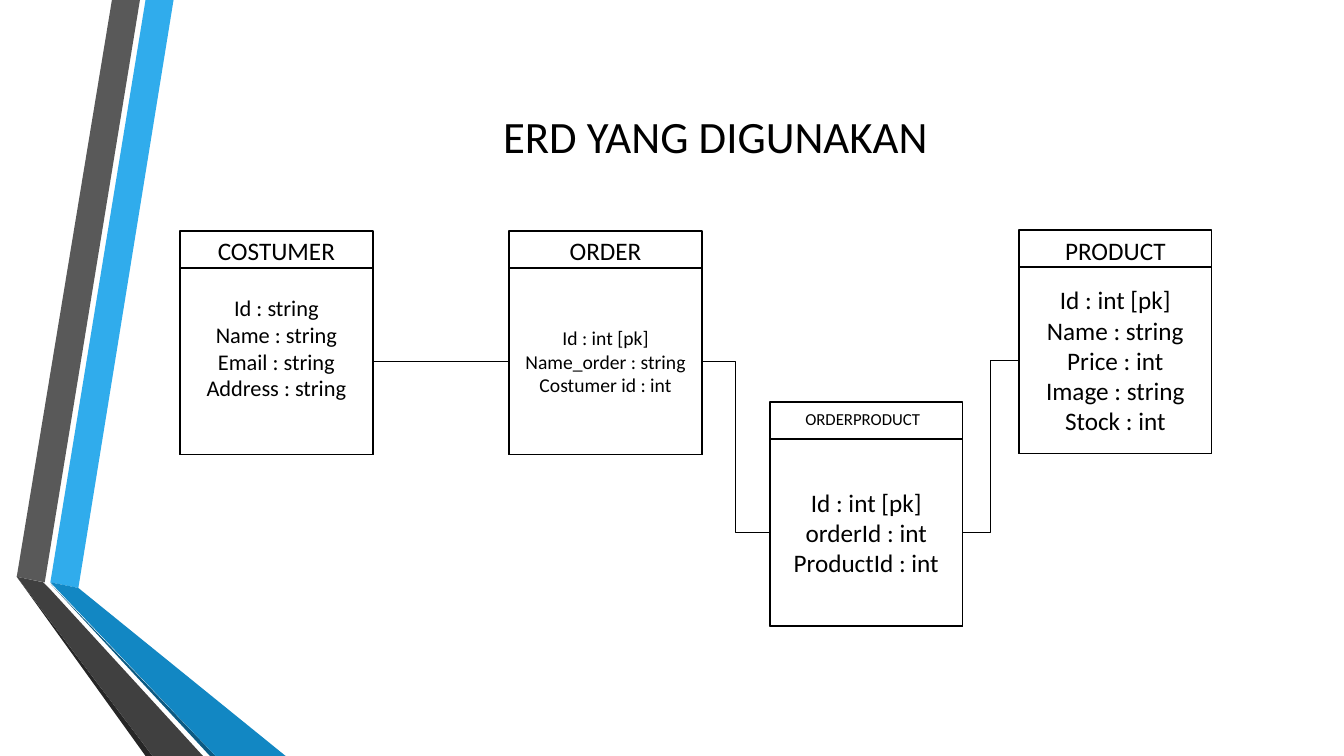
from dataclasses import dataclass

from lxml import etree
from pptx import Presentation
from pptx.dml.color import RGBColor
from pptx.enum.shapes import MSO_CONNECTOR, MSO_SHAPE
from pptx.enum.text import MSO_ANCHOR, PP_ALIGN
from pptx.oxml.ns import qn
from pptx.util import Pt

RECT = MSO_SHAPE.RECTANGLE
STRAIGHT, ELBOW = MSO_CONNECTOR.STRAIGHT, MSO_CONNECTOR.ELBOW
CENTER = PP_ALIGN.CENTER
TOP, MIDDLE = MSO_ANCHOR.TOP, MSO_ANCHOR.MIDDLE

FONT = "Calibri"
BLACK, WHITE = "000000", "FFFFFF"
CARD_W, CARD_H, HEADER_H = 137.5, 159.8, 26.6
LEFT_SITE, RIGHT_SITE = 1, 3


@dataclass
class Ribbon:
    color: str
    points: list[tuple[float, float]]


@dataclass
class Entity:
    name: str
    left: float
    top: float
    fields: list[str]
    field_size: float
    name_size: float = 18
    name_dx: float = 0
    name_dy: float = 0
    bottom_inset: float = 3.6


@dataclass
class Relation:
    start: str
    end: str
    kind: int


RIBBONS = [
    Ribbon("30ACEC", [(36, 416.4), (55.6, 419.7), (124.4, 0), (104.5, 0)]),
    Ribbon("595959", [(99.8, 0), (80, 0), (11.8, 412.3), (31.7, 415.6)]),
    Ribbon("262626", [(11.8, 412.3), (104.5, 540), (108.7, 540)]),
    Ribbon("0C5A82", [(36, 416.6), (149.5, 540), (154, 540)]),
    Ribbon("1287C3", [(36, 416.4), (154, 540), (203.8, 540), (55.6, 419.7)]),
    Ribbon("404040", [(145.2, 540), (34.6, 419.8), (31.3, 415.6),
                      (11.8, 412.3), (108.7, 540)]),
]

ENTITIES = [
    Entity("COSTUMER", 128.7, 164.9,
           ["Id : string", "Name : string", "Email : string", "Address : string"],
           16, bottom_inset=23.1),
    Entity("ORDER", 363.8, 164.9,
           ["Id : int [pk]", "Name_order : string", "Costumer id : int"], 14),
    Entity("PRODUCT", 727.9, 164.2,
           ["Id : int [pk]", "Name : string", "Price : int", "Image : string",
            "Stock : int"], 18),
    Entity("ORDERPRODUCT", 550, 287.2,
           ["Id : int [pk]", "orderId : int", "ProductId : int"], 18,
           name_size=12, name_dx=-2.5, name_dy=1.4),
]

RELATIONS = [
    Relation("COSTUMER", "ORDER", STRAIGHT),
    Relation("ORDER", "ORDERPRODUCT", ELBOW),
    Relation("ORDERPRODUCT", "PRODUCT", ELBOW),
]


def rgb(color: str) -> RGBColor:
    return RGBColor.from_string(color)


def write(sp, lines: list[str], size: float, anchor) -> None:
    tf = sp.text_frame
    tf.word_wrap = True
    tf.vertical_anchor = anchor
    tf.text = "\n".join(lines)
    for p in tf.paragraphs:
        p.alignment = CENTER
        for r in p.runs:
            r.font.name = FONT
            r.font.size = Pt(size)
            r.font.color.rgb = rgb(BLACK)


def add_label(s, left: float, top: float, width: float, height: float,
              text: str, size: float, anchor) -> None:
    sp = s.shapes.add_textbox(Pt(left), Pt(top), Pt(width), Pt(height))
    write(sp, [text], size, anchor)


def add_ribbon(s, ribbon: Ribbon) -> None:
    x, y = ribbon.points[0]
    builder = s.shapes.build_freeform(x, y, scale=Pt(1))
    builder.add_line_segments(ribbon.points[1:], close=True)
    sp = builder.convert_to_shape()
    sp.shadow.inherit = False
    sp.fill.solid()
    sp.fill.fore_color.rgb = rgb(ribbon.color)
    sp.line.fill.background()


def add_box(s, left: float, top: float, height: float):
    sp = s.shapes.add_shape(RECT, Pt(left), Pt(top), Pt(CARD_W), Pt(height))
    sp.shadow.inherit = False
    sp.fill.solid()
    sp.fill.fore_color.rgb = rgb(WHITE)
    sp.line.color.rgb = rgb(BLACK)
    sp.line.width = Pt(1.25)
    return sp


def add_entity(s, entity: Entity):
    """Draw one entity card and return its field box."""
    add_box(s, entity.left, entity.top, CARD_H)
    add_label(s, entity.left + entity.name_dx, entity.top + entity.name_dy,
              CARD_W, HEADER_H, entity.name, entity.name_size, TOP)
    body = add_box(s, entity.left, entity.top + HEADER_H, CARD_H - HEADER_H)
    write(body, entity.fields, entity.field_size, MIDDLE)
    body.text_frame.margin_bottom = Pt(entity.bottom_inset)
    return body


def add_relation(s, kind: int, start, end) -> None:
    cxn = s.shapes.add_connector(
        kind, start.left + start.width, start.top + start.height // 2,
        end.left, end.top + end.height // 2)
    cxn.begin_connect(start, RIGHT_SITE)
    cxn.end_connect(end, LEFT_SITE)
    cxn.line.color.rgb = rgb(BLACK)
    cxn.line.width = Pt(0.75)
    etree.SubElement(cxn._element.spPr, qn("a:effectLst"))


def main() -> None:
    prs = Presentation()
    prs.slide_width, prs.slide_height = Pt(960), Pt(540)
    s = prs.slides.add_slide(prs.slide_layouts[6])

    # Side ribbons
    for ribbon in RIBBONS:
        add_ribbon(s, ribbon)

    # Title
    add_label(s, 116.6, 26.6, 789, 141, "ERD YANG DIGUNAKAN", 32, MIDDLE)

    # Entities and their relations
    bodies = {entity.name: add_entity(s, entity) for entity in ENTITIES}
    for relation in RELATIONS:
        add_relation(s, relation.kind, bodies[relation.start], bodies[relation.end])

    prs.save("out.pptx")


if __name__ == "__main__":
    main()
